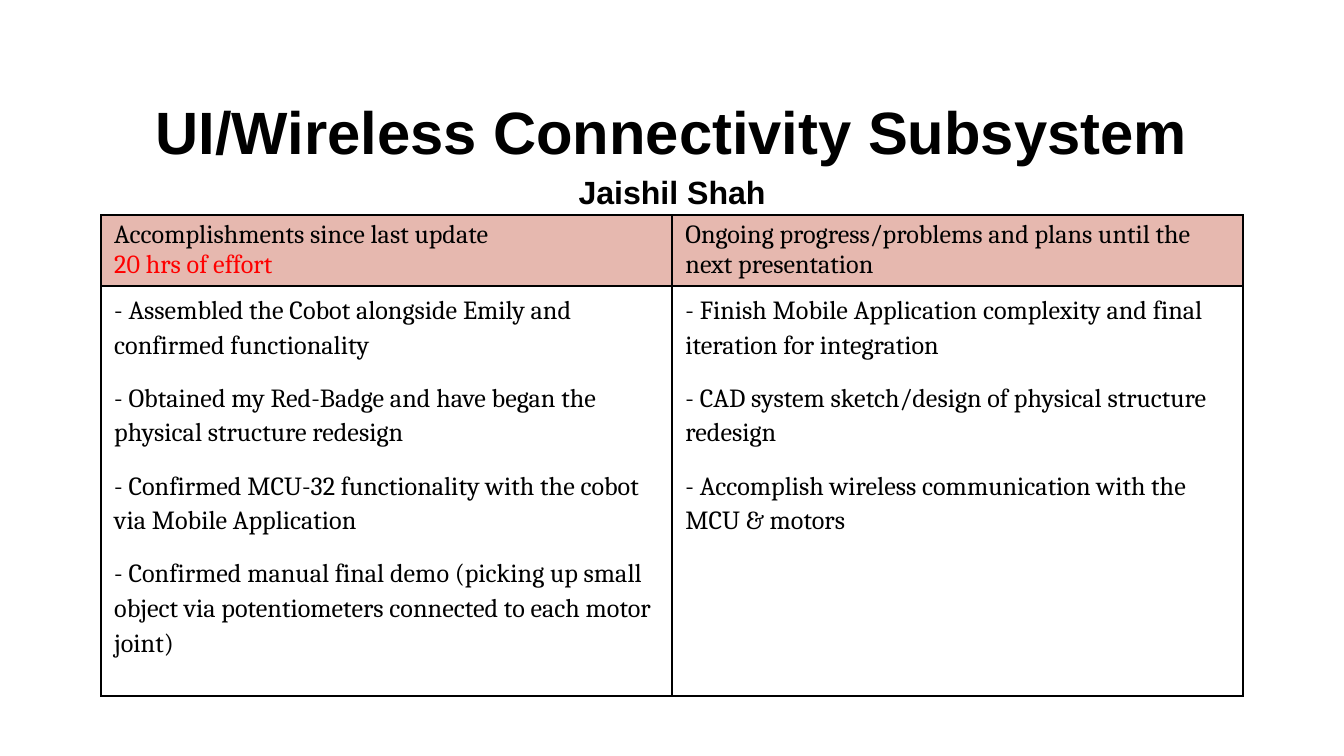
"""Build the UI/Wireless Connectivity Subsystem status slide."""
from lxml import etree
from pptx import Presentation
from pptx.dml.color import RGBColor
from pptx.enum.text import MSO_ANCHOR, MSO_AUTO_SIZE, PP_ALIGN
from pptx.oxml.ns import qn
from pptx.util import Inches, Pt

CENTER = PP_ALIGN.CENTER
MIDDLE = MSO_ANCHOR.MIDDLE
NO_AUTOFIT = MSO_AUTO_SIZE.NONE

COLORS = {"text": "000000", "effort": "FF0000", "header": "E6B8AF", "border": "000000"}
TITLE_LINES = [("UI/Wireless Connectivity Subsystem", 32), ("Jaishil Shah", 17.2)]
COLUMNS = [
    {
        "header": [("Accomplishments since last update", "text"), ("20 hrs of effort", "effort")],
        "items": [
            "- Assembled the Cobot alongside Emily and confirmed functionality",
            "- Obtained my Red-Badge and have began the physical structure redesign",
            "- Confirmed MCU-32 functionality with the cobot via Mobile Application",
            "- Confirmed manual final demo (picking up small object via potentiometers "
            "connected to each motor joint)",
        ],
    },
    {
        "header": [("Ongoing progress/problems and plans until the next presentation", "text")],
        "items": [
            "- Finish Mobile Application complexity and final iteration for integration",
            "- CAD system sketch/design of physical structure redesign",
            "- Accomplish wireless communication with the MCU & motors",
        ],
    },
]
SLIDE_WIDTH = 10
SLIDE_HEIGHT = SLIDE_WIDTH * 9 / 16
COLUMN_WIDTH = 4.25
ROW_HEIGHTS = [0.53, 3.05]


def write_lines(text_frame, lines, font_name, bold=False, separator="\n"):
    """Write (text, size, color) lines and return the paragraphs."""
    text_frame.text = separator.join(text for text, _, _ in lines)
    runs = [run for paragraph in text_frame.paragraphs for run in paragraph.runs]
    for run, (_, size, color) in zip(runs, lines):
        font = run.font
        font.name, font.size, font.bold = font_name, Pt(size), bold
        font.color.rgb = RGBColor.from_string(COLORS[color])
    return text_frame.paragraphs


def add_borders(cell):
    """Draw a solid one-point line on each side of a cell."""
    properties = cell._tc.get_or_add_tcPr()
    for position, side in enumerate(("lnL", "lnR", "lnT", "lnB")):
        line = etree.Element(qn(f"a:{side}"), w=str(Pt(1)))
        fill = etree.SubElement(line, qn("a:solidFill"))
        etree.SubElement(fill, qn("a:srgbClr"), val=COLORS["border"])
        properties.insert(position, line)


def add_title(slide):
    """Place the centred two-line title."""
    title = slide.shapes.title
    title.left, title.top = Inches(0.5), Inches(0.77)
    title.width, title.height = Inches(9), Inches(0.66)
    text_frame = title.text_frame
    text_frame.word_wrap = True
    text_frame.auto_size = NO_AUTOFIT
    text_frame.vertical_anchor = MIDDLE
    lines = [(text, size, "text") for text, size in TITLE_LINES]
    for paragraph in write_lines(text_frame, lines, "Arial", bold=True):
        paragraph.alignment = CENTER
        paragraph.line_spacing = 1.15
        paragraph.space_before = Pt(0)


def add_status_table(slide):
    """Add the status table with one column per topic."""
    table = slide.shapes.add_table(
        len(ROW_HEIGHTS), len(COLUMNS), Inches(0.75), Inches(1.6),
        Inches(COLUMN_WIDTH * len(COLUMNS)), Inches(sum(ROW_HEIGHTS)),
    ).table
    table.first_row = table.horz_banding = False
    for row, height in zip(table.rows, ROW_HEIGHTS):
        row.height = Inches(height)
    for index, content in enumerate(COLUMNS):
        table.columns[index].width = Inches(COLUMN_WIDTH)
        header, body = table.cell(0, index), table.cell(1, index)
        header.fill.solid()
        header.fill.fore_color.rgb = RGBColor.from_string(COLORS["header"])
        body.fill.background()
        for cell in (header, body):
            cell.margin_top = cell.margin_bottom = Inches(0.04)
            add_borders(cell)
        header_lines = [(text, 14, color) for text, color in content["header"]]
        write_lines(header.text_frame, header_lines, "Cambria", separator="\v")
        body_lines = [(text, 14, "text") for text in content["items"]]
        paragraphs = write_lines(body.text_frame, body_lines, "Cambria")
        for paragraph in paragraphs:
            paragraph.line_spacing = 1.15
        for paragraph in paragraphs[1:]:
            paragraph.space_before = Pt(10)


def main():
    """Create and save the presentation."""
    presentation = Presentation()
    presentation.slide_width = Inches(SLIDE_WIDTH)
    presentation.slide_height = Inches(SLIDE_HEIGHT)
    slide = presentation.slides.add_slide(presentation.slide_layouts[5])
    add_title(slide)
    add_status_table(slide)
    presentation.save("out.pptx")


if __name__ == "__main__":
    main()
